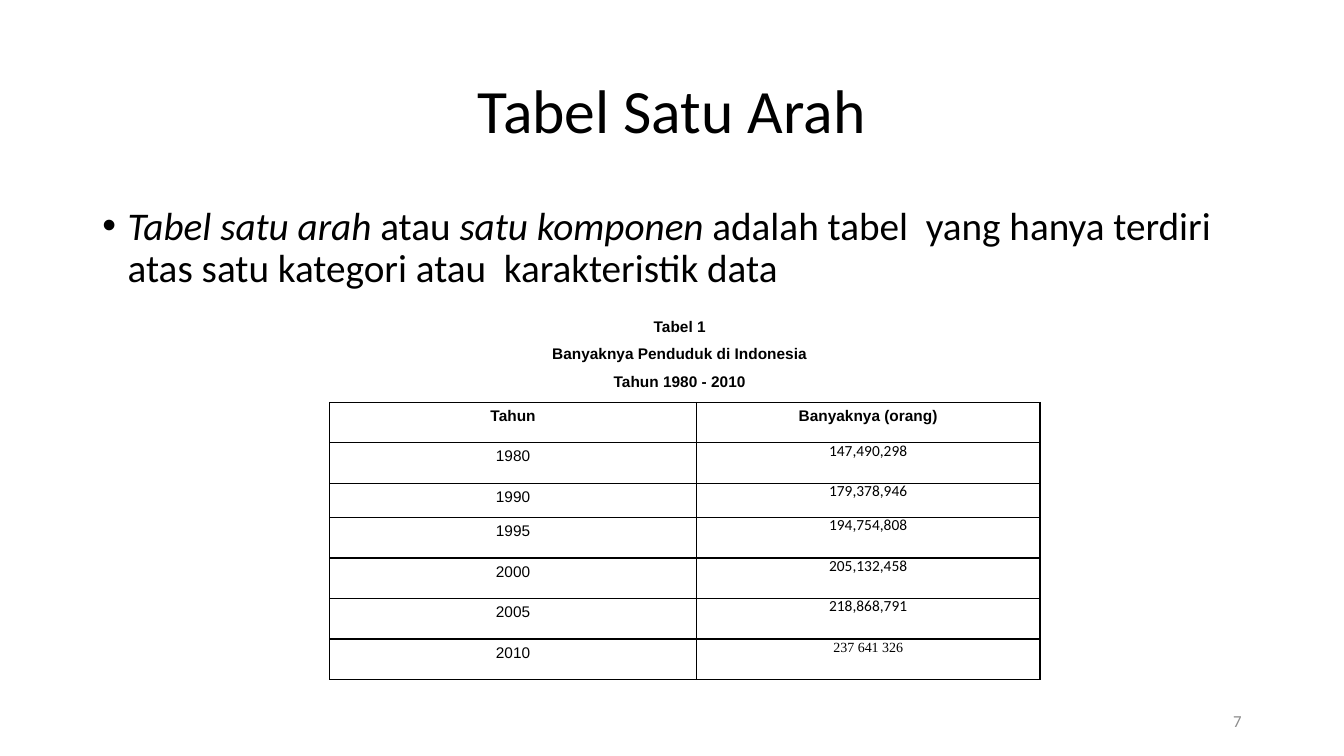
from pptx import Presentation
from pptx.dml.color import RGBColor as RGB
from pptx.enum.text import MSO_ANCHOR as Anchor, PP_ALIGN as Align
from pptx.oxml import parse_xml
from pptx.oxml.ns import nsdecls
from pptx.util import Cm, Pt

LINE = (
    '<a:{} {} w="12700"><a:solidFill><a:srgbClr val="000000"/></a:solidFill></a:{}>'
)
YEARS = [
    ("1980", "147,490,298"),
    ("1990", "179,378,946"),
    ("1995", "194,754,808"),
    ("2000", "205,132,458"),
    ("2005", "218,868,791"),
    ("2010", "237 641 326"),
]


def add_run(para, text, size, font="Calibri", color="000000", bold=False, slant=False):
    """Add one styled run to a paragraph."""
    run = para.add_run()
    run.text = text
    run.font.size = Pt(size)
    run.font.name = font
    run.font.bold = bold
    run.font.italic = slant
    run.font.color.rgb = RGB.from_string(color)


def add_box(left, top, width, height, anchor=Anchor.TOP):
    """Add a wrapping text box, in cm, and return its text frame."""
    box = slide.shapes.add_textbox(Cm(left), Cm(top), Cm(width), Cm(height))
    frame = box.text_frame
    frame.word_wrap = True
    frame.vertical_anchor = anchor
    return frame


prs = Presentation()
prs.slide_width, prs.slide_height = Cm(33.87), Cm(19.05)
slide = prs.slides.add_slide(prs.slide_layouts[6])

# Title
title = add_box(2.33, 1.01, 29.21, 3.68, Anchor.MIDDLE).paragraphs[0]
title.alignment = Align.CENTER
title.line_spacing = 0.9
add_run(title, "Tabel Satu Arah", 44)

# Definition
body = add_box(2.33, 5.08, 29.21, 12.09).paragraphs[0]
body.line_spacing = 0.9
body.space_before = Pt(10)
props = body._p.get_or_add_pPr()
props.set("marL", str(Cm(0.64)))
props.set("indent", str(-Cm(0.64)))
props.append(parse_xml(f'<a:buFont {nsdecls("a")} typeface="Arial"/>'))
props.append(parse_xml(f'<a:buChar {nsdecls("a")} char="•"/>'))
for text, slant in [
    ("Tabel satu arah ", True),
    ("atau ", False),
    ("satu komponen ", True),
    ("adalah tabel  yang hanya terdiri atas satu kategori atau  karakteristik data", False),
]:
    add_run(body, text, 28, slant=slant)

# Slide number
number = add_box(23.92, 17.66, 7.62, 1.01, Anchor.MIDDLE).paragraphs[0]
number.alignment = Align.RIGHT
add_run(number, "7", 12, color="8C8C8C")

# Table caption
caption = add_box(13.89, 7.7, 6.48, 2.16)
caption.margin_left = caption.margin_right = caption.margin_bottom = 0
caption.margin_top = Cm(0.28)
for i, text in enumerate(["Tabel 1", "Banyaknya Penduduk di Indonesia", "Tahun 1980 - 2010"]):
    para = caption.add_paragraph() if i else caption.paragraphs[0]
    para.alignment = Align.CENTER
    if i:
        para.line_spacing = 1.5
    else:
        para.space_before = Pt(7.6)
    add_run(para, text, 11, "Arial", bold=True)

# Population table
rows = [("Tahun", "Banyaknya (orang)")] + YEARS
frame = slide.shapes.add_table(len(rows), 2, Cm(8.31), Cm(10.14), Cm(17.9), Cm(7))
table = frame.table
table.first_row = table.horz_banding = False
for col, width in zip(table.columns, (9.24, 8.66)):
    col.width = Cm(width)
for r, row in enumerate(rows):
    table.rows[r].height = Cm(0.86 if r == 2 else 1.02)
    for c, text in enumerate(row):
        cell = table.cell(r, c)
        head, count = r == 0, r > 0 and c == 1
        cell.margin_left = cell.margin_right = cell.margin_bottom = 0
        cell.margin_top = 0 if count else Cm(0.13)
        for side in ("lnL", "lnR", "lnT", "lnB"):
            edge = parse_xml(LINE.format(side, nsdecls("a"), side))
            cell._tc.get_or_add_tcPr().append(edge)
        cell.fill.background()
        para = cell.text_frame.paragraphs[0]
        para.alignment = Align.CENTER
        last = count and r == len(rows) - 1
        if count:
            para.line_spacing = Pt(11.7 if last else 12.6)
        else:
            para.space_before = Pt(4)
        font = "Times New Roman" if last else "Calibri" if count else "Arial"
        add_run(para, text, 10 if last else 11, font, bold=head)

prs.save("out.pptx")
